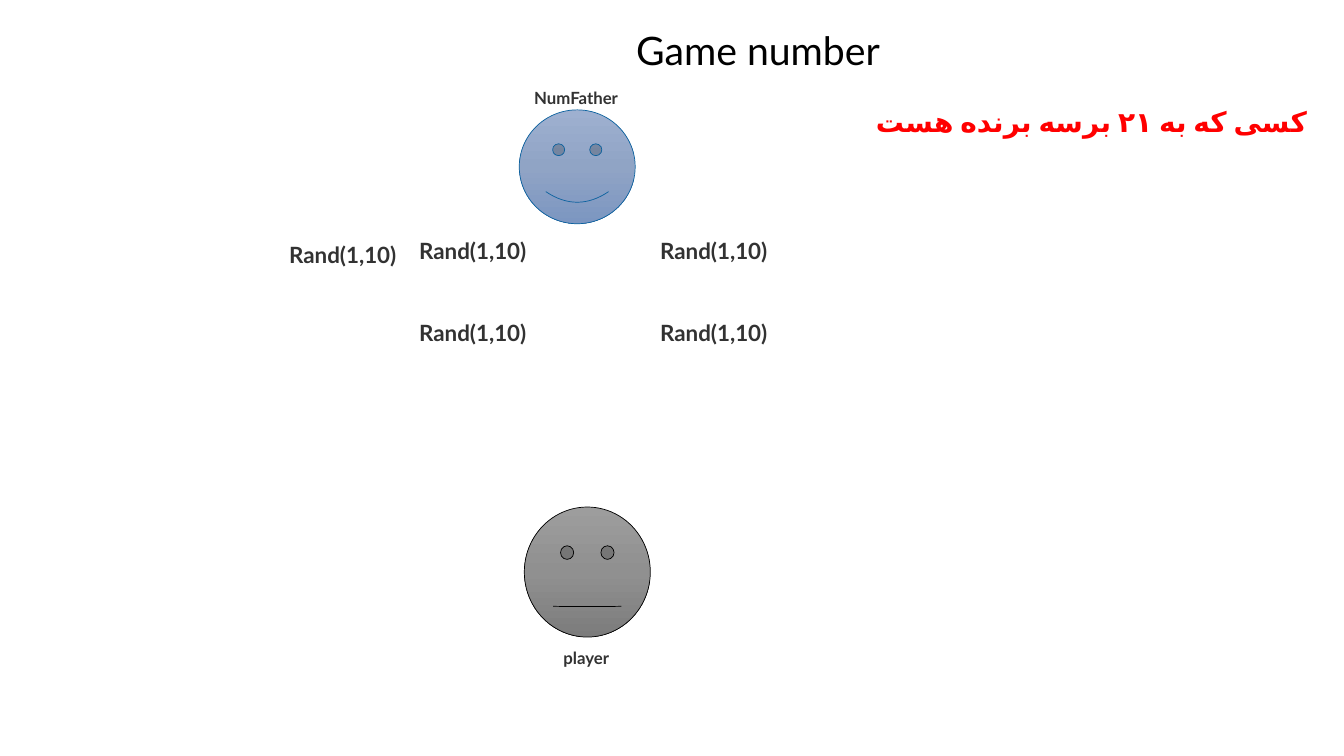
from copy import deepcopy
from dataclasses import dataclass

from lxml import etree
from pptx import Presentation
from pptx.dml.color import RGBColor
from pptx.enum.shapes import MSO_SHAPE
from pptx.enum.text import MSO_ANCHOR, MSO_AUTO_SIZE, PP_ALIGN
from pptx.oxml.ns import qn
from pptx.util import Inches, Pt

SMILEY = MSO_SHAPE.SMILEY_FACE
TOP = MSO_ANCHOR.TOP
GROW = MSO_AUTO_SIZE.SHAPE_TO_FIT_TEXT
LEFT, RIGHT = PP_ALIGN.LEFT, PP_ALIGN.RIGHT


@dataclass(frozen=True)
class Theme:
    font: str = "Lato"
    ink: str = "323232"
    black: str = "000000"
    red: str = "FF0000"
    blue: str = "0C629F"
    blues: tuple = ("9EB0D0", "90A4C5", "7C96C1")
    grays: tuple = ("9D9D9D", "909090", "7C7C7C")
    title: int = 28
    rule: int = 20
    call: int = 16
    name: int = 12
    edge: float = 0.5
    lead: float = 1.3


class Board:
    def __init__(self, deck, theme):
        self.theme = theme
        self.slide = deck.slides.add_slide(deck.slide_layouts[5])

    def set_text(self, box, text, size, color, bold=True, wrap=False):
        frame = box.text_frame
        frame.text = text
        frame.word_wrap = wrap
        frame.auto_size = GROW
        frame.vertical_anchor = TOP
        para = frame.paragraphs[0]
        para.alignment = LEFT
        font = para.runs[0].font
        font.name = self.theme.font
        font.size = Pt(size)
        font.bold = bold
        font.color.rgb = RGBColor.from_string(color)
        return para

    def title(self, text, x, y, w, h):
        box = self.slide.shapes.title
        box.left, box.top = Inches(x), Inches(y)
        box.width, box.height = Inches(w), Inches(h)
        self.set_text(box, text, self.theme.title, self.theme.black,
                      bold=False)

    def label(self, text, x, y, w, h, size, color=None, wrap=False):
        box = self.slide.shapes.add_textbox(
            Inches(x), Inches(y), Inches(w), Inches(h))
        para = self.set_text(box, text, size, color or self.theme.ink,
                             wrap=wrap)
        para.line_spacing = self.theme.lead
        return para

    def rule(self, text, x, y, w, h):
        """Add a right-to-left line of text."""
        para = self.label(text, x, y, w, h, self.theme.rule,
                          self.theme.red, wrap=True)
        para.alignment = RIGHT
        para._p.get_or_add_pPr().set("rtl", "1")
        props = para.runs[0]._r.get_or_add_rPr()
        props.set("lang", "fa-IR")
        etree.SubElement(props, qn("a:cs"), typeface=self.theme.font)

    def face(self, x, y, w, h, colors, edge, smile=None):
        shape = self.slide.shapes.add_shape(
            SMILEY, Inches(x), Inches(y), Inches(w), Inches(h))
        shape.shadow.inherit = False
        if smile is not None:
            shape.adjustments[0] = smile
        shape.line.color.rgb = RGBColor.from_string(edge)
        shape.line.width = Pt(self.theme.edge)
        fill = shape.fill
        fill.gradient()
        fill.gradient_angle = 270
        stops = shape._element.spPr.find(".//" + qn("a:gsLst"))
        stops.insert(1, deepcopy(stops[0]))
        for i, (stop, color) in enumerate(zip(fill.gradient_stops, colors)):
            stop.position = i / 2
            stop.color.rgb = RGBColor.from_string(color)


def main():
    deck = Presentation()
    deck.slide_width, deck.slide_height = Inches(13.33), Inches(7.5)
    theme = Theme()
    board = Board(deck, theme)

    board.title("Game number", 6.21, 0.21, 2.64, 0.57)
    board.face(5.15, 1.09, 1.15, 1.13, theme.blues, theme.blue)
    board.label("NumFather", 5.2, 0.76, 1.07, 0.33, theme.name)
    board.face(5.2, 5.03, 1.25, 1.29, theme.grays, theme.black, smile=0.001)
    board.label("player", 5.49, 6.32, 0.67, 0.36, theme.name)

    grid = [(x, y) for y in (2.22, 3.04) for x in (4.06, 6.45)]
    for x, y in grid + [(2.77, 2.26)]:
        board.label("Rand(1,10)", x, y, 1.3, 0.41, theme.call)

    board.rule("کسی که به ۲۱ برسه برنده هست", 7.05, 0.89, 6.01, 0.49)
    deck.save("out.pptx")


if __name__ == "__main__":
    main()
